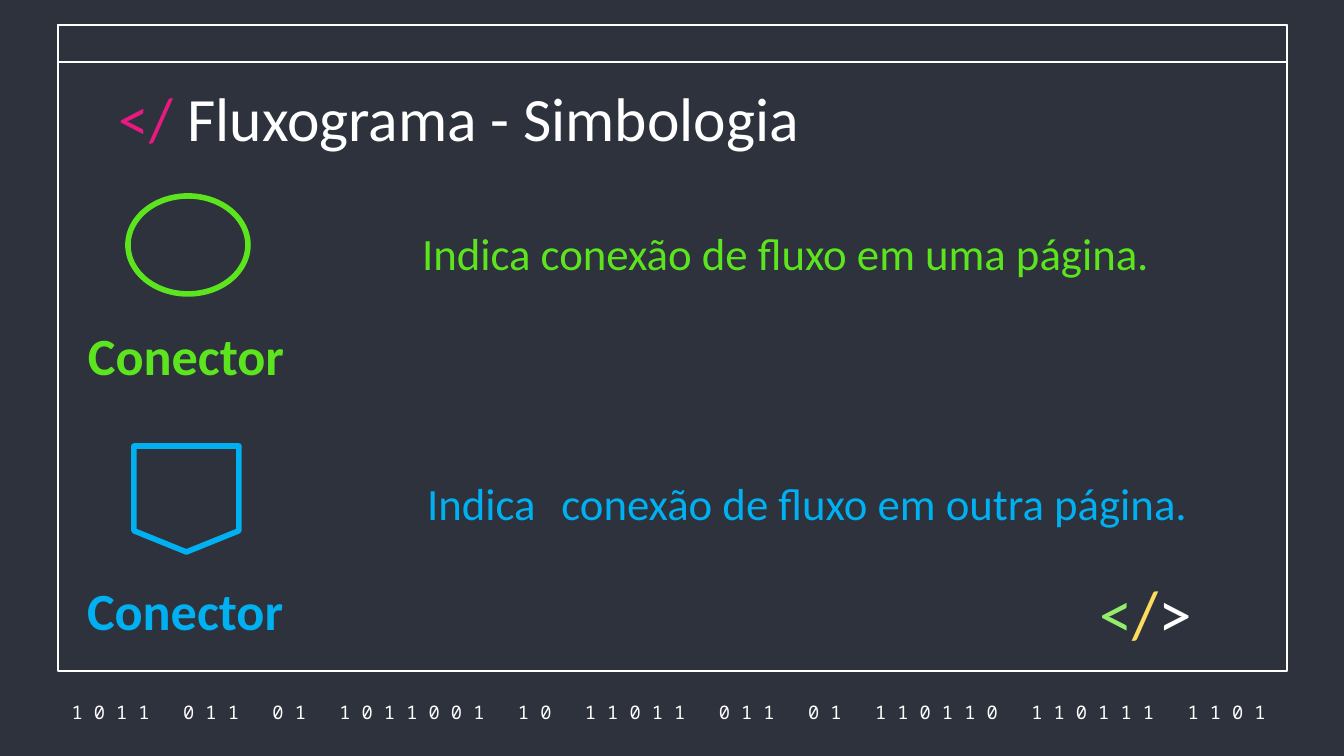
"""Builds the slide on flowchart connector symbols."""
from pptx import Presentation
from pptx.dml.color import RGBColor
from pptx.enum.shapes import MSO_SHAPE
from pptx.enum.text import MSO_ANCHOR, PP_ALIGN
from pptx.util import Pt

PX = 914400 * 10 / 1344
BACKGROUND, WHITE, GREEN, BLUE = "2D323C", "FFFFFF", "5CE51E", "00B0F0"


def color(target, value):
    target.rgb = RGBColor.from_string(value)


def add_text(box, runs, size, font="Calibri", bold=False, align=PP_ALIGN.LEFT,
             anchor=MSO_ANCHOR.TOP, inset_y=13, spacing=None):
    frame = slide.shapes.add_textbox(*[round(v * PX) for v in box]).text_frame
    frame.word_wrap = True
    frame.vertical_anchor = anchor
    frame.margin_left = frame.margin_right = round(13 * PX)
    frame.margin_top = frame.margin_bottom = round(inset_y * PX)
    paragraph = frame.paragraphs[0]
    paragraph.alignment = align
    paragraph.line_spacing = spacing
    for words, ink in runs:
        run = paragraph.add_run()
        run.text = words
        run.font.name, run.font.size, run.font.bold = font, Pt(size), bold
        color(run.font.color, ink)


prs = Presentation()
prs.slide_width, prs.slide_height = round(1344 * PX), round(756 * PX)
slide = prs.slides.add_slide(prs.slide_layouts[6])
slide.background.fill.solid()
color(slide.background.fill.fore_color, BACKGROUND)

outlines = [
    (MSO_SHAPE.RECTANGLE, (58, 25, 1229, 646), BACKGROUND, WHITE, 0.75),
    (MSO_SHAPE.RECTANGLE, (58, 25, 1229, 37), BACKGROUND, WHITE, 0.75),
    (MSO_SHAPE.OVAL, (128, 196, 120, 98), None, GREEN, 3),
    (MSO_SHAPE.FLOWCHART_OFFPAGE_CONNECTOR, (134, 446, 105, 106), None, BLUE, 3),
]
for kind, box, fill, ink, width in outlines:
    symbol = slide.shapes.add_shape(kind, *[round(v * PX) for v in box])
    symbol.shadow.inherit = False
    if fill:
        symbol.fill.solid()
        color(symbol.fill.fore_color, fill)
    else:
        symbol.fill.background()
    color(symbol.line.color, ink)
    symbol.line.width = Pt(width)

bits = "1011 011 01 1011001 10 11011 011 01 110110 110111 1101".split()
binary = "   ".join(" ".join(group) for group in bits) + " "
add_text((51, 699, 1246, 27), [(binary, WHITE)], 10, font="Noto Sans Mono",
         align=PP_ALIGN.CENTER, anchor=MSO_ANCHOR.MIDDLE)
add_text((106, 67, 1133, 85),
         [("</ ", "E81981"), ("Fluxograma - Simbologia", WHITE)], 33)
add_text((1052, 578, 187, 77), [("<", "94EE6B"), ("/", "FFDB5D"), (">", WHITE)], 36,
         align=PP_ALIGN.CENTER, anchor=MSO_ANCHOR.MIDDLE, spacing=0.9)

connectors = [
    (GREEN, (75, 316, 259, 77), (409, 219, 856, 67),
     "Indica conexão de fluxo em uma página."),
    (BLUE, (74, 571, 259, 77), (414, 469, 856, 122),
     "Indica \tconexão de fluxo em outra página."),
]
for ink, label_box, meaning_box, meaning in connectors:
    add_text(label_box, [("Conector", ink)], 28, bold=True, inset_y=7)
    add_text(meaning_box, [(meaning, ink)], 24, align=PP_ALIGN.JUSTIFY, inset_y=7)

prs.save("out.pptx")
